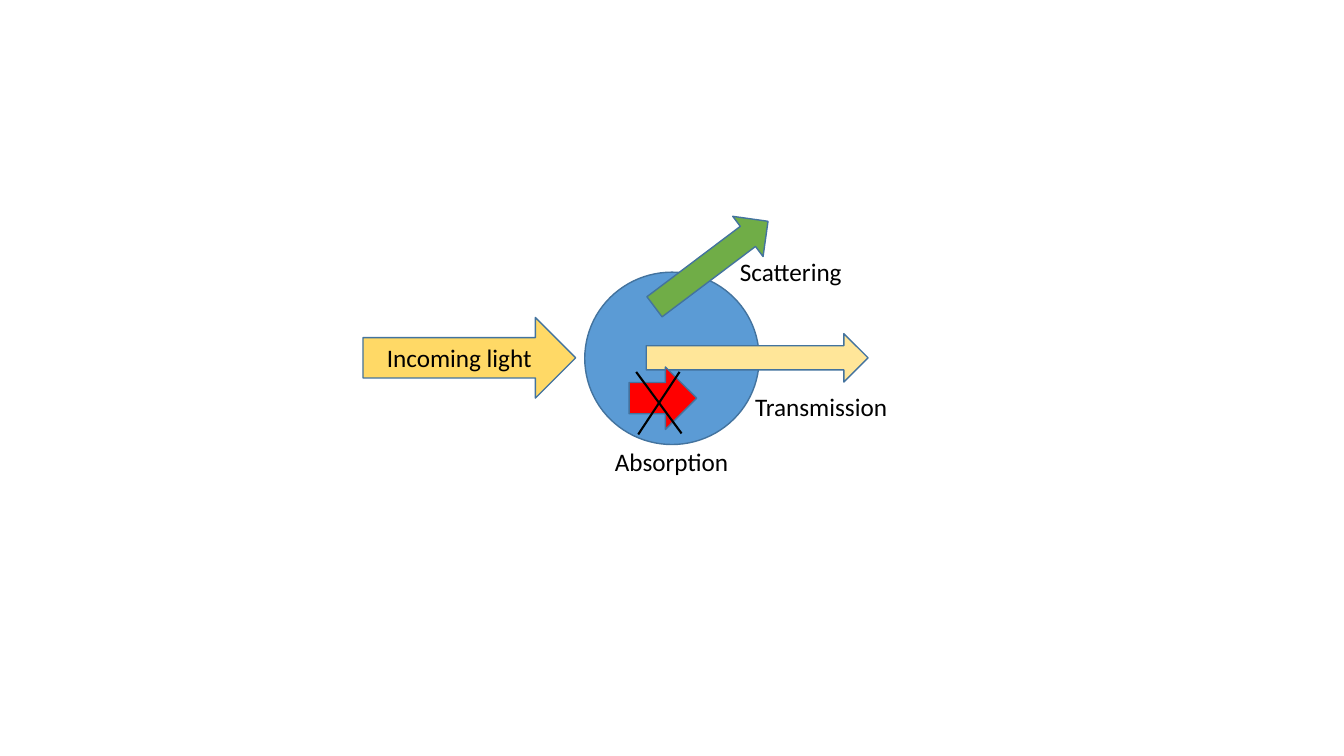
from lxml.etree import SubElement
from pptx import Presentation
from pptx.dml.color import RGBColor
from pptx.enum.shapes import MSO_CONNECTOR, MSO_SHAPE
from pptx.enum.text import MSO_ANCHOR, MSO_AUTO_SIZE, PP_ALIGN
from pptx.oxml.ns import qn
from pptx.util import Inches, Pt

SLIDE_W, SLIDE_H = Inches(13.33), Inches(7.5)
ROWS = 75
CELL = SLIDE_H / ROWS
OUTLINE = "43739E"
BLACK = "000000"


def grid(*cells):
    return [round(n * CELL) for n in cells]


def color(hex_string):
    return RGBColor.from_string(hex_string)


def add_run(p, text):
    r = p.add_run()
    r.text = text
    r.font.name = "Calibri"
    r.font.size = Pt(18)
    r.font.color.rgb = color(BLACK)


def add_figure(s, kind, box, fill, rotation=0, text=None):
    sp = s.shapes.add_shape(kind, *grid(*box))
    sp.shadow.inherit = False
    sp.fill.solid()
    sp.fill.fore_color.rgb = color(fill)
    sp.line.color.rgb = color(OUTLINE)
    sp.line.width = Pt(1)
    sp.rotation = rotation
    if text:
        tf = sp.text_frame
        tf.vertical_anchor = MSO_ANCHOR.MIDDLE
        p = tf.paragraphs[0]
        p.alignment = PP_ALIGN.CENTER
        add_run(p, text)


def add_stroke(s, ends):
    line = s.shapes.add_connector(MSO_CONNECTOR.STRAIGHT, *grid(*ends))
    line.line.color.rgb = color(BLACK)
    line.line.width = Pt(1.5)
    SubElement(line._element.spPr, qn("a:effectLst"))


def add_label(s, box, text):
    tf = s.shapes.add_textbox(*grid(*box)).text_frame
    tf.word_wrap = False
    tf.auto_size = MSO_AUTO_SIZE.SHAPE_TO_FIT_TEXT
    add_run(tf.paragraphs[0], text)


def main():
    prs = Presentation()
    prs.slide_width, prs.slide_height = SLIDE_W, SLIDE_H
    s = prs.slides.add_slide(prs.slide_layouts[6])

    arrow = MSO_SHAPE.RIGHT_ARROW
    add_figure(s, MSO_SHAPE.OVAL, (58, 27, 17.3, 17.1), "5B9BD5")
    add_figure(s, arrow, (36, 31.5, 21.1, 8), "FFD966", text="Incoming light")
    add_figure(s, arrow, (63.5, 23.7, 14.1, 5), "70AD47", rotation=323)
    add_figure(s, arrow, (64.1, 33.1, 22, 4.8), "FFE699")
    add_figure(s, arrow, (62.4, 36.4, 6.7, 6.2), "FF0000")

    for ends in ((63.1, 36.9, 67.6, 43), (63.3, 43.1, 67.4, 36.9)):
        add_stroke(s, ends)

    add_label(s, (72.4, 24.9, 12.3, 4), "Scattering")
    add_label(s, (73.9, 38.3, 15.2, 4), "Transmission")
    add_label(s, (60, 43.8, 13.4, 4), "Absorption")

    prs.save("out.pptx")


if __name__ == "__main__":
    main()
